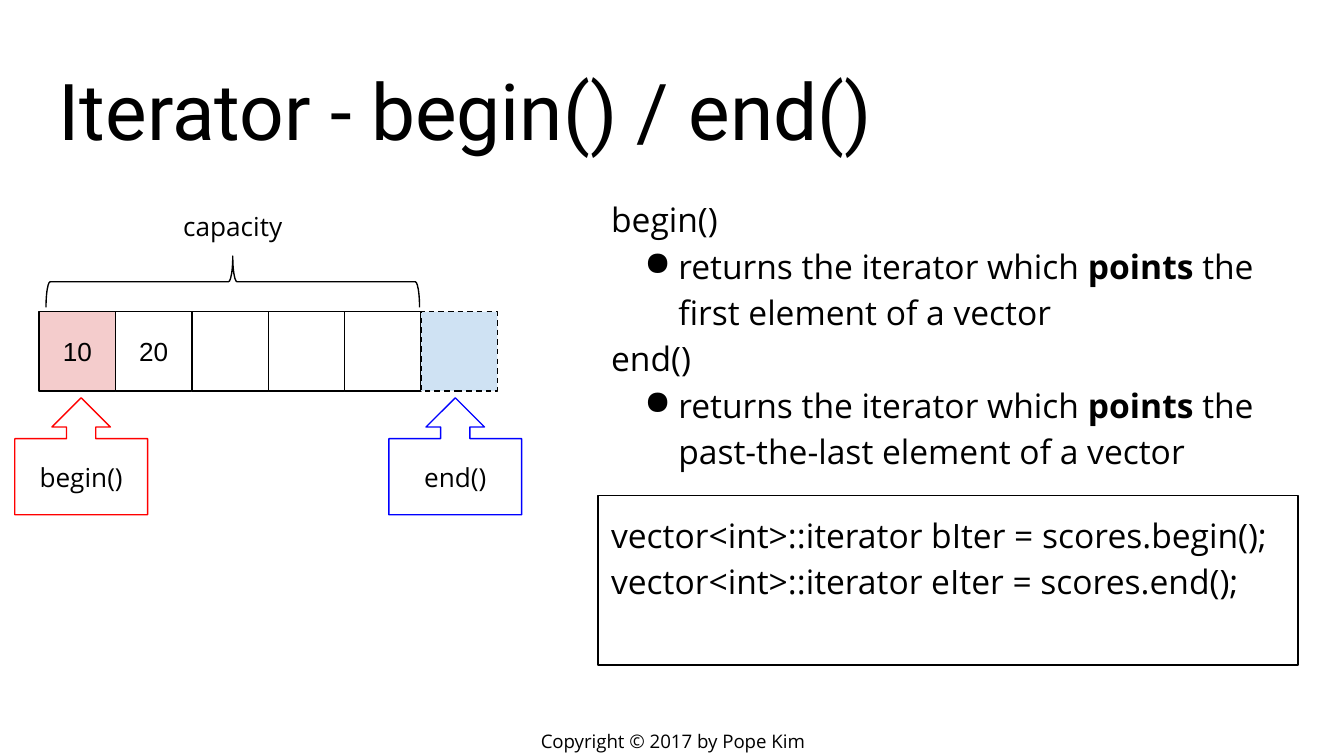
from collections import namedtuple
from dataclasses import dataclass

from lxml.etree import SubElement
from pptx import Presentation
from pptx.dml.color import RGBColor
from pptx.enum.dml import MSO_LINE
from pptx.enum.shapes import MSO_SHAPE
from pptx.enum.text import MSO_ANCHOR, MSO_AUTO_SIZE, PP_ALIGN
from pptx.oxml.ns import qn
from pptx.util import Cm, Pt

Box = namedtuple("Box", "x y w h")


@dataclass(frozen=True)
class Theme:
    ink: str = "000000"
    first: str = "F4CCCC"
    past: str = "CFE2F3"
    red: str = "FF0000"
    blue: str = "0000FF"
    head: str = "Roboto"
    body: str = "Open Sans"
    cell: str = "Arial"
    title: float = 42
    text: float = 18
    label: float = 14
    note: float = 10
    line: float = 0.75
    inset: float = 0.25


THEME = Theme()
MID = dict(align=PP_ALIGN.CENTER, anchor=MSO_ANCHOR.MIDDLE)


def apply(target, values):
    for name, value in values.items():
        setattr(target, name, value)


def write(shape, paras, size, font=THEME.body, align=PP_ALIGN.LEFT,
          anchor=MSO_ANCHOR.TOP, space=1.0):
    """Fill a shape with paragraphs; each is a list of texts, every second one bold."""
    frame = shape.text_frame
    pad = Cm(THEME.inset)
    apply(frame, dict(word_wrap=True, auto_size=MSO_AUTO_SIZE.NONE,
                      vertical_anchor=anchor, margin_left=pad, margin_right=pad,
                      margin_top=pad, margin_bottom=pad))
    for i, parts in enumerate(paras):
        para = frame.paragraphs[0] if i == 0 else frame.add_paragraph()
        apply(para, dict(alignment=align, line_spacing=space))
        for j, part in enumerate(parts):
            run = para.add_run()
            run.text = part
            apply(run.font, dict(size=Pt(size), name=font, bold=j % 2 == 1))
            run.font.color.rgb = RGBColor.from_string(THEME.ink)


def bullet(para):
    props = para._p.get_or_add_pPr()
    apply_xml = dict(marL=Cm(1.27), indent=-Cm(0.64))
    for name, value in apply_xml.items():
        props.set(name, str(int(value)))
    tint = SubElement(props, qn("a:buClr"))
    SubElement(tint, qn("a:srgbClr"), val=THEME.ink)
    SubElement(props, qn("a:buChar"), char="●")


def label(shapes, box, paras, size, **style):
    text = shapes.add_textbox(*map(Cm, box))
    write(text, paras, size, **style)
    return text


def draw(shapes, kind, box, fill=None, line=THEME.ink, dash=None):
    shape = shapes.add_shape(kind, *map(Cm, box))
    shape.shadow.inherit = False
    if fill:
        shape.fill.solid()
        shape.fill.fore_color.rgb = RGBColor.from_string(fill)
    else:
        shape.fill.background()
    shape.line.color.rgb = RGBColor.from_string(line)
    apply(shape.line, dict(width=Pt(THEME.line), dash_style=dash))
    return shape


def adjust(shape, values):
    for i, value in enumerate(values):
        shape.adjustments[i] = value


def heading(slide, box, text):
    title = slide.shapes.title
    apply(title, dict(zip(("left", "top", "width", "height"), map(Cm, box))))
    write(title, [[text]], THEME.title, THEME.head, anchor=MSO_ANCHOR.BOTTOM)


def cells(shapes, box, values):
    """Draw a row of equal cells, the last one past the end."""
    step = box.w / len(values)
    last = len(values) - 1
    fills = {0: THEME.first, last: THEME.past}
    for i, value in enumerate(values):
        cell = draw(shapes, MSO_SHAPE.RECTANGLE,
                    Box(box.x + i * step, box.y, step, box.h), fills.get(i),
                    dash=MSO_LINE.DASH if i == last else None)
        if value:
            write(cell, [[value]], THEME.label, THEME.cell, **MID)


def span(shapes, box, text):
    """Draw a label above a brace that opens downwards over the box width."""
    high = 0.97
    mid = box.x + box.w / 2
    axis = box.y + box.h - high / 2
    brace = draw(shapes, MSO_SHAPE.RIGHT_BRACE,
                 Box(mid - high / 2, axis - box.w / 2, high, box.w))
    brace.rotation = 270
    adjust(brace, (0.083, 0.5))
    wide = 3.43
    label(shapes, Box(mid - wide / 2, box.y, wide, 0.91), [[text]],
          THEME.label, align=PP_ALIGN.CENTER)


def callout(shapes, box, text, line):
    arrow = draw(shapes, MSO_SHAPE.UP_ARROW_CALLOUT, box, line=line)
    adjust(arrow, (0.25, 0.25, 0.25, 0.65))
    write(arrow, [[text]], THEME.label, **MID)


def diagram(slide, box):
    row = slide.shapes.add_group_shape().shapes
    cells(row, Box(box.x + 0.46, box.y + 2.16, 8.66, 1.5),
          ["10", "20", "", "", "", ""])
    for dx, text, line in ((0, "begin()", THEME.red), (7.07, "end()", THEME.blue)):
        callout(row, Box(box.x + dx, box.y + 3.79, 2.51, 2.21), text, line)
    top = slide.shapes.add_group_shape().shapes
    span(top, Box(box.x + 0.59, box.y, 7.06, 2.08), "capacity")


def notes(slide, box):
    """Place the explanation and, right below it, the framed code."""
    part = 5.97
    paras = [["begin()"],
             ["returns the iterator which ", "points",
              " the first element of a vector"],
             ["end()"],
             ["returns the iterator which ", "points",
              " the past-the-last element of a vector"]]
    text = label(slide.shapes, box._replace(h=part), paras, THEME.text, space=1.15)
    for para in text.text_frame.paragraphs[1::2]:
        bullet(para)
    code = draw(slide.shapes, MSO_SHAPE.RECTANGLE,
                box._replace(y=box.y + part, h=box.h - part))
    write(code, [["vector<int>::iterator bIter = scores.begin();"],
                 ["vector<int>::iterator eIter = scores.end();"]],
          THEME.text, space=1.15)


def main():
    deck = Presentation()
    apply(deck, dict(slide_width=Cm(25.4), slide_height=Cm(14.29)))
    slide = deck.slides.add_slide(deck.slide_layouts[5])
    heading(slide, Box(0.86, 0.89, 23.67, 2.31), "Iterator - begin() / end()")
    label(slide.shapes, Box(9.58, 13.74, 6.27, 0.53),
          [["Copyright © 2017 by Pope Kim"]], THEME.note, **MID)
    notes(slide, Box(11.3, 3.4, 13.23, 9.17))
    diagram(slide, Box(0.28, 3.73, 9.58, 6))
    deck.save("out.pptx")


if __name__ == "__main__":
    main()
